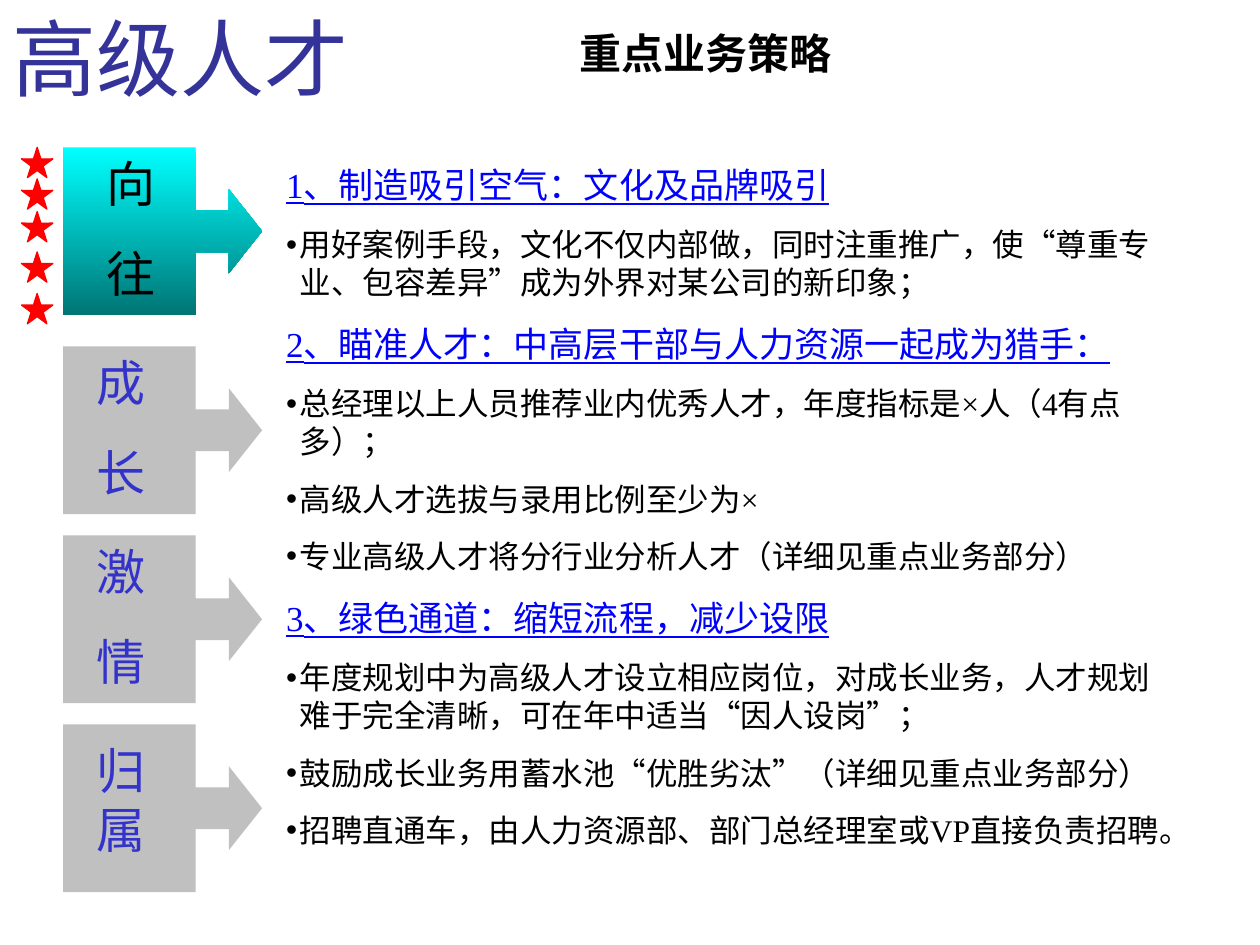
from dataclasses import dataclass

from lxml.etree import SubElement
from pptx import Presentation
from pptx.dml.color import RGBColor as Rgb
from pptx.enum.shapes import MSO_SHAPE as Shape
from pptx.enum.text import MSO_ANCHOR as Anchor, MSO_AUTO_SIZE as AutoSize, PP_ALIGN as Align
from pptx.oxml.ns import qn
from pptx.util import Inches, Pt


@dataclass(frozen=True)
class Theme:
    title_font: str = "Lato"
    font: str = "Times New Roman"
    title: str = "333399"
    text: str = "000000"
    label: str = "3333CC"
    heading: str = "0000FF"
    star: str = "FF0000"
    inactive: str = "C0C0C0"
    active: tuple = ("00FFFF", "007575")
    title_size: float = 48
    label_size: float = 28
    subtitle_size: float = 24
    heading_size: float = 20
    point_size: float = 18


THEME = Theme()

# Content
TITLE = "高级人才"
SUBTITLE = "重点业务策略"
# label paragraphs, callout top, label left, label top, label height
STAGES = [
    (["向", "往"], 1.17, 0.75, 1.17, 1.28),
    (["成", "长"], 2.75, 0.67, 2.75, 1.28),
    (["激", "情"], 4.25, 0.67, 4.25, 1.28),
    (["归属"], 5.75, 0.67, 5.83, 1.04),
]
STAR_TOPS = [1.17, 1.42, 1.68, 2, 2.33]
STRATEGIES = [
    ("1、制造吸引空气：文化及品牌吸引", [
        "用好案例手段，文化不仅内部做，同时注重推广，使“尊重专业、包容差异”成为外界对某公司的新印象；",
    ]),
    ("2、瞄准人才：中高层干部与人力资源一起成为猎手：", [
        "总经理以上人员推荐业内优秀人才，年度指标是×人（4有点多）；",
        "高级人才选拔与录用比例至少为×",
        "专业高级人才将分行业分析人才（详细见重点业务部分）",
    ]),
    ("3、绿色通道：缩短流程，减少设限", [
        "年度规划中为高级人才设立相应岗位，对成长业务，人才规划难于完全清晰，可在年中适当“因人设岗”；",
        "鼓励成长业务用蓄水池“优胜劣汰”（详细见重点业务部分）",
        "招聘直通车，由人力资源部、部门总经理室或VP直接负责招聘。",
    ]),
]
CALLOUT_ADJUSTMENTS = [0.25, 0.25, 0.198, 0.667]
HANGING = 0.11
SPACE_SHARE = 0.625  # space before a paragraph, as a share of its type size


def place(part, left, top, width, height):
    part.left, part.top, part.width, part.height = map(Inches, (left, top, width, height))
    return part


def set_bullet(paragraph, bullet):
    props = paragraph._p.get_or_add_pPr()
    props.set("marL", str(Inches(HANGING)))
    props.set("indent", str(-Inches(HANGING)))
    if bullet:
        color = SubElement(props, qn("a:buClr"))
        SubElement(color, qn("a:srgbClr")).set("val", THEME.text)
        SubElement(props, qn("a:buChar")).set("char", bullet)
    else:
        SubElement(props, qn("a:buNone"))


def add_text(frame, text, *, size, color, font=THEME.font, bold=False,
             underline=False, listed=False, bullet=None):
    first = not frame.text
    paragraph = frame.paragraphs[0] if first else frame.add_paragraph()
    if listed:
        set_bullet(paragraph, bullet)
    paragraph.alignment = Align.LEFT
    paragraph.space_before = Pt(0 if first else round(size * SPACE_SHARE, 1))
    run = paragraph.add_run()
    run.text = text
    run.font.name, run.font.size = font, Pt(size)
    run.font.bold, run.font.underline = bold, underline
    run.font.color.rgb = Rgb.from_string(color)


def set_frame(part, anchor=Anchor.TOP):
    frame = part.text_frame
    frame.word_wrap = True
    frame.auto_size = AutoSize.NONE
    frame.vertical_anchor = anchor
    return frame


def add_figure(slide, preset, *box):
    figure = slide.shapes.add_shape(preset, *map(Inches, box))
    figure.shadow.inherit = False
    return figure


def paint(figure, color):
    figure.fill.solid()
    figure.fill.fore_color.rgb = Rgb.from_string(color)


def add_stage(slide, label, top, label_left, label_top, label_height, active):
    callout = add_figure(slide, Shape.RIGHT_ARROW_CALLOUT, 0.5, top, 1.58, 1.33)
    for index, value in enumerate(CALLOUT_ADJUSTMENTS):
        callout.adjustments[index] = value
    callout.line.fill.background()
    if active:
        callout.fill.gradient()
        callout.fill.gradient_angle = 270
        for stop, color in zip(callout.fill.gradient_stops, THEME.active):
            stop.color.rgb = Rgb.from_string(color)
    else:
        paint(callout, THEME.inactive)
    box = slide.shapes.add_textbox(*map(Inches, (label_left, label_top, 0.75, label_height)))
    frame = set_frame(box)
    for text in label:
        add_text(frame, text, size=THEME.label_size,
                 color=THEME.text if active else THEME.label)


def main():
    deck = Presentation()
    deck.slide_width, deck.slide_height = Inches(10), Inches(7.5)
    slide = deck.slides.add_slide(deck.slide_layouts[1])

    # Title and subtitle
    title = place(slide.shapes.title, 0, 0, 9.7, 0.61)
    add_text(set_frame(title), TITLE, size=THEME.title_size,
             color=THEME.title, font=THEME.title_font)
    subtitle = slide.shapes.add_textbox(*map(Inches, (4.5, 0, 6.75, 0.83)))
    add_text(set_frame(subtitle, Anchor.MIDDLE), SUBTITLE,
             size=THEME.subtitle_size, color=THEME.text, bold=True)

    # Stages, the first one active
    for index, stage in enumerate(STAGES):
        add_stage(slide, *stage, active=index == 0)

    # Strategies
    body = set_frame(place(slide.placeholders[1], 2.17, 1.25, 7.17, 6.3))
    for heading, points in STRATEGIES:
        add_text(body, heading, size=THEME.heading_size, color=THEME.heading,
                 underline=True, listed=True)
        for point in points:
            add_text(body, point, size=THEME.point_size, color=THEME.text,
                     listed=True, bullet="•")

    # Stars beside the active stage
    for top in STAR_TOPS:
        star = add_figure(slide, Shape.STAR_5_POINT, 0.17, top, 0.25, 0.24)
        paint(star, THEME.star)
        star.line.color.rgb = Rgb.from_string(THEME.star)
        star.line.width = Pt(0.75)

    deck.save("out.pptx")


if __name__ == "__main__":
    main()
